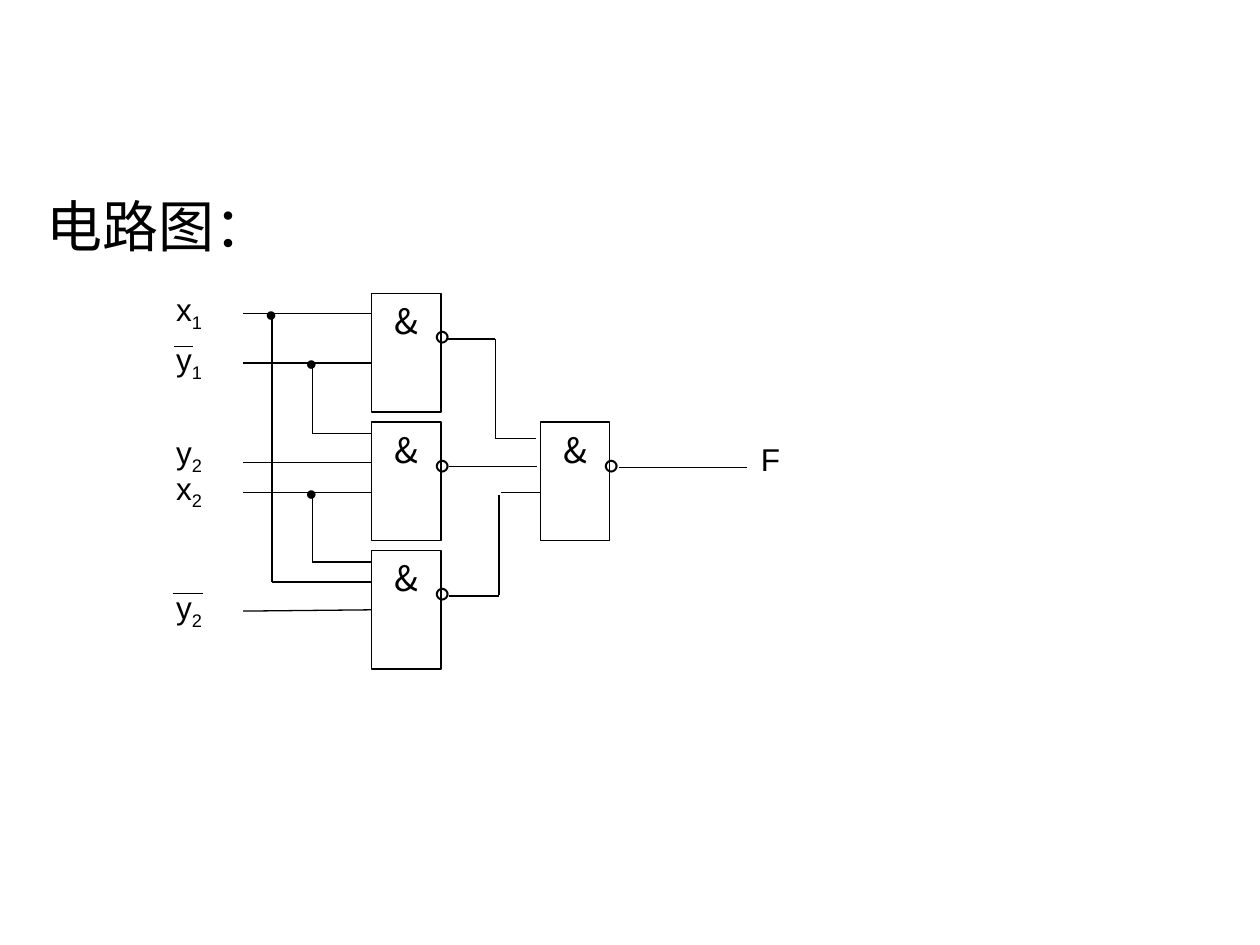
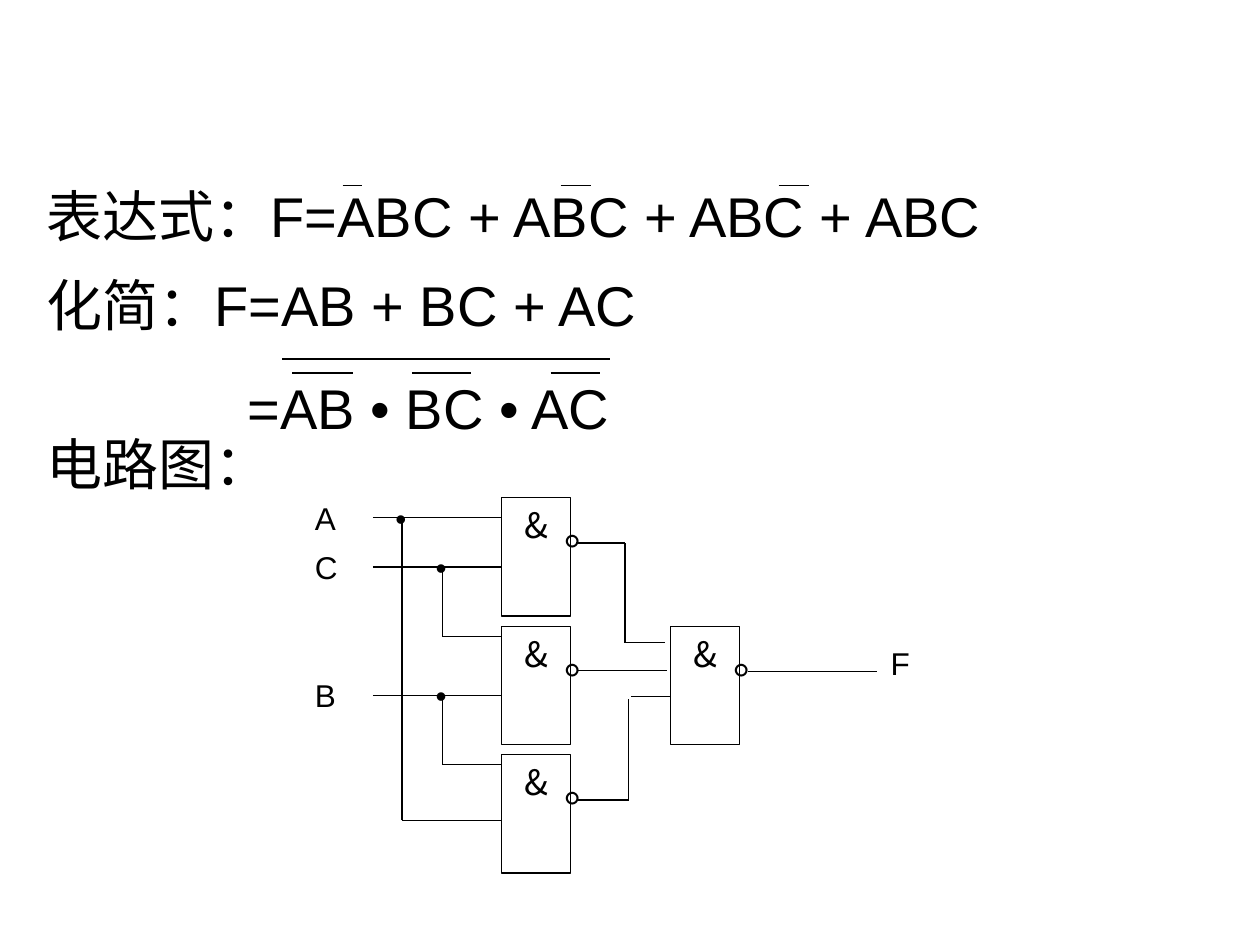
from dataclasses import dataclass

from lxml.etree import SubElement
from pptx import Presentation
from pptx.dml.color import RGBColor
from pptx.enum.shapes import MSO_AUTO_SHAPE_TYPE as ShapeType, MSO_CONNECTOR as Connector
from pptx.enum.text import MSO_ANCHOR as Anchor, PP_ALIGN as Align
from pptx.oxml.ns import qn
from pptx.util import Inches, Pt

INK = "000000"
PAPER = "FFFFFF"
LATIN_FONT = "Arial"
GATE_FONT = "Noto Sans CJK SC"
LINE_WIDTH = 0.75
TITLE_SIZE = 32
LABEL_SIZE = 18
BUBBLE_SIZE = 24
GATE_SIZE = 20

TEXT_LEFT = 0.27
GATE_WIDTH, GATE_HEIGHT, GATE_PITCH = 0.55, 0.94, 1.02
OUTPUT_GATE_X = 1.34
INPUT_LENGTH = 1.02
DOT_SHIFT_X, DOT_SHIFT_Y = 0.15, 0.20

Point = tuple[float, float]

OUTPUT_WIRES: list[list[Point]] = [
    [(0.59, 0.36), (0.98, 0.36), (0.98, 1.15), (1.30, 1.15)],
    [(0.61, 1.37), (1.31, 1.37)],
    [(0.61, 2.40), (1.01, 2.40)],
    [(1.01, 2.39), (1.01, 1.60)],
    [(1.03, 1.58), (1.34, 1.58)],
    [(1.96, 1.38), (2.98, 1.38)],
]


@dataclass(frozen=True)
class Signal:
    name: str
    subscript: str
    wire_y: float
    label_y: float


@dataclass(frozen=True)
class Branch:
    x: float
    start_y: float
    end_y: float


@dataclass(frozen=True)
class Circuit:
    left: float
    top: float
    label_x: float
    label_width: float
    signals: list[Signal]
    branches: list[Branch]


@dataclass(frozen=True)
class Overbar:
    left: float
    right: float
    y: float


def color(value: str) -> RGBColor:
    return RGBColor.from_string(value)


def style_paragraph(paragraph, size: float, font_name: str = LATIN_FONT) -> None:
    for run in paragraph.runs:
        run.font.size = Pt(size)
        run.font.name = font_name
        run.font.color.rgb = color(INK)


def add_text(shapes, left: float, top: float, width: float, height: float,
             text: str, size: float):
    shape = shapes.add_textbox(Inches(left), Inches(top), Inches(width), Inches(height))
    text_frame = shape.text_frame
    text_frame.word_wrap = True
    text_frame.text = text
    for paragraph in text_frame.paragraphs:
        style_paragraph(paragraph, size)
    return shape


def add_label(shapes, left: float, top: float, width: float, signal: Signal) -> None:
    shape = add_text(shapes, left, top, width, 0.40, signal.name, LABEL_SIZE)
    if signal.subscript:
        paragraph = shape.text_frame.paragraphs[0]
        run = paragraph.add_run()
        run.text = signal.subscript
        style_paragraph(paragraph, LABEL_SIZE)
        run._r.get_or_add_rPr().set("baseline", "-25000")


def add_line(shapes, start: Point, end: Point):
    connector = shapes.add_connector(
        Connector.STRAIGHT, Inches(start[0]), Inches(start[1]), Inches(end[0]), Inches(end[1]))
    connector.line.color.rgb = color(INK)
    connector.line.width = Pt(LINE_WIDTH)
    SubElement(connector._element.spPr, qn("a:effectLst"))
    return connector


def add_overbars(shapes, overbars: list[Overbar]) -> None:
    for overbar in overbars:
        add_line(shapes, (overbar.left, overbar.y), (overbar.right, overbar.y))


def add_gate(shapes, left: float, top: float):
    gate = shapes.add_shape(ShapeType.RECTANGLE, Inches(left), Inches(top),
                            Inches(GATE_WIDTH), Inches(GATE_HEIGHT))
    gate.shadow.inherit = False
    gate.fill.background()
    gate.line.color.rgb = color(INK)
    gate.line.width = Pt(LINE_WIDTH)
    text_frame = gate.text_frame
    text_frame.word_wrap = True
    text_frame.vertical_anchor = Anchor.TOP
    text_frame.text = "&"
    paragraph = text_frame.paragraphs[0]
    paragraph.alignment = Align.CENTER
    style_paragraph(paragraph, GATE_SIZE, GATE_FONT)
    add_text(shapes, left + 0.40, top, 0.63, 0.50, "。", BUBBLE_SIZE)
    return gate


def add_circuit(slide, circuit: Circuit) -> None:
    shapes = slide.shapes.add_group_shape().shapes

    def place(point: Point) -> Point:
        return circuit.left + point[0], circuit.top + point[1]

    def add_wire(points: list[Point]) -> None:
        for start, end in zip(points, points[1:]):
            add_line(shapes, place(start), place(end))

    gates = [add_gate(shapes, *place((0, row * GATE_PITCH))) for row in range(3)]
    add_gate(shapes, *place((OUTPUT_GATE_X, GATE_PITCH)))

    for signal in circuit.signals:
        wire = add_line(shapes, place((-INPUT_LENGTH, signal.wire_y)), place((0, signal.wire_y)))
        for row, gate in enumerate(gates):
            middle = row * GATE_PITCH + GATE_HEIGHT / 2
            if abs(signal.wire_y - middle) < 0.02:
                wire.end_connect(gate, 1)
        add_label(shapes, *place((circuit.label_x, signal.label_y)), circuit.label_width, signal)

    for branch in circuit.branches:
        add_wire([(branch.x, branch.start_y), (branch.x, branch.end_y), (0, branch.end_y)])
        dot = place((branch.x - DOT_SHIFT_X, branch.start_y - DOT_SHIFT_Y))
        add_text(shapes, *dot, 0.63, 0.40, "•", LABEL_SIZE)

    for points in OUTPUT_WIRES:
        add_wire(points)
    add_text(shapes, *place((2.99, 1.11)), 0.71, 0.40, "F", LABEL_SIZE)


def add_slide(presentation):
    slide = presentation.slides.add_slide(presentation.slide_layouts[6])
    slide.background.fill.solid()
    slide.background.fill.fore_color.rgb = color(PAPER)
    return slide


def build_comparator_slide(presentation) -> None:
    slide = add_slide(presentation)
    add_text(slide.shapes, TEXT_LEFT, 1.47, 2.76, 0.64, "电路图：", TITLE_SIZE)
    add_overbars(slide.shapes, [Overbar(1.38, 1.53, 2.75), Overbar(1.37, 1.61, 4.71)])
    add_circuit(slide, Circuit(
        left=2.95, top=2.33, label_x=-1.65, label_width=0.71,
        signals=[
            Signal("x", "1", 0.16, -0.08),
            Signal("y", "1", 0.55, 0.32),
            Signal("y", "2", 1.34, 1.06),
            Signal("x", "2", 1.58, 1.34),
            Signal("y", "2", 2.52, 2.29),
        ],
        branches=[Branch(-0.47, 0.55, 1.11), Branch(-0.47, 1.58, 2.13),
                  Branch(-0.79, 0.16, 2.29)],
    ))


def build_majority_slide(presentation) -> None:
    slide = add_slide(presentation)
    shapes = slide.shapes
    add_text(shapes, TEXT_LEFT, 1.39, 9.13, 0.64, "表达式：F=ABC + ABC + ABC + ABC", TITLE_SIZE)
    simplification = add_text(shapes, TEXT_LEFT, 2.10, 9.13, 1.45,
                              "化简：F=AB + BC + AC\n=AB • BC • AC", TITLE_SIZE)
    second_line = simplification.text_frame.paragraphs[1]
    second_line._p.get_or_add_pPr().set("marL", str(Inches(1.60)))
    second_line.space_before = Pt(20)
    add_text(shapes, TEXT_LEFT, 3.36, 9.13, 0.64, "电路图：", TITLE_SIZE)
    add_overbars(shapes, [
        Overbar(2.72, 2.87, 1.47),
        Overbar(4.45, 4.69, 1.47),
        Overbar(6.18, 6.42, 1.47),
        Overbar(2.32, 2.80, 2.96),
        Overbar(3.27, 3.74, 2.96),
        Overbar(4.37, 4.76, 2.96),
        Overbar(2.24, 4.84, 2.85),
    ])
    add_circuit(slide, Circuit(
        left=3.98, top=3.95, label_x=-1.58, label_width=0.39,
        signals=[
            Signal("A", "", 0.16, -0.04),
            Signal("C", "", 0.55, 0.35),
            Signal("B", "", 1.57, 1.37),
        ],
        branches=[Branch(-0.47, 0.55, 1.10), Branch(-0.47, 1.57, 2.12),
                  Branch(-0.79, 0.16, 2.56)],
    ))


def main() -> None:
    presentation = Presentation()
    presentation.slide_width = Inches(10)
    presentation.slide_height = Inches(7.5)
    build_comparator_slide(presentation)
    build_majority_slide(presentation)
    presentation.save("out.pptx")


if __name__ == "__main__":
    main()
